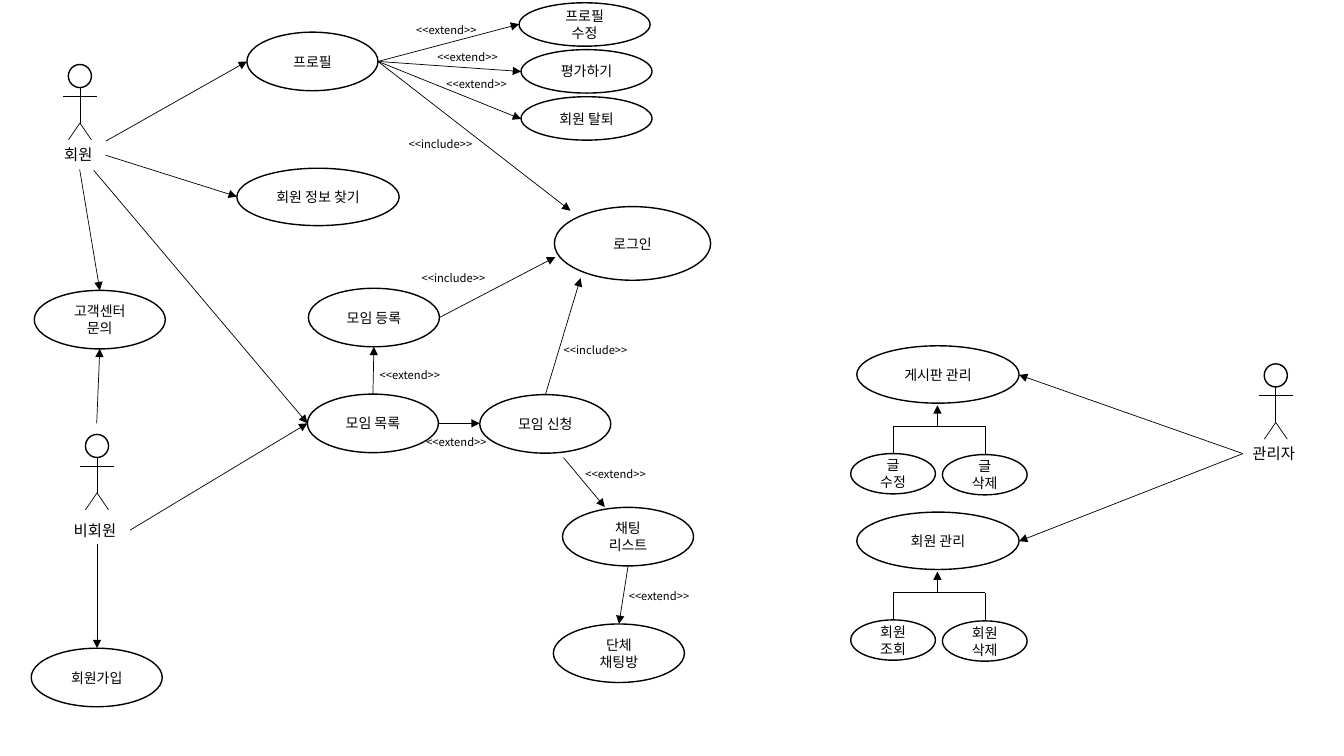
from dataclasses import dataclass

from lxml.etree import SubElement
from pptx import Presentation
from pptx.dml.color import RGBColor
from pptx.enum.shapes import MSO_CONNECTOR, MSO_SHAPE
from pptx.enum.text import MSO_ANCHOR, PP_ALIGN
from pptx.oxml.ns import qn
from pptx.util import Pt


@dataclass(frozen=True)
class Theme:
    """Colours, type and line weights of the diagram."""
    ink: RGBColor = RGBColor(0, 0, 0)
    paper: RGBColor = RGBColor(255, 255, 255)
    font: str = "Noto Sans CJK KR"
    actor_size: float = 11
    case_size: float = 10
    label_size: float = 8
    outline: float = 1
    stroke: float = 0.5


class UseCaseDiagram:
    """Draws use case elements on the current slide."""

    def __init__(self, slide, theme):
        """Keep the slide and its style."""
        self.slide = slide
        self.theme = theme

    def add_text(self, frame, text, size, align):
        """Fill a text frame, one paragraph per line."""
        for index, line in enumerate(text.split("\n")):
            paragraph = frame.paragraphs[0] if index == 0 else frame.add_paragraph()
            paragraph.alignment = align
            run = paragraph.add_run()
            run.text = line
            run.font.size = Pt(size)
            run.font.name = self.theme.font
            run.font.color.rgb = self.theme.ink
            east_asian = SubElement(run.font._element, qn("a:ea"))
            east_asian.set("typeface", self.theme.font)

    def ellipse(self, left, top, width, height, shapes=None):
        """Add an outlined ellipse."""
        shapes = shapes or self.slide.shapes
        shape = shapes.add_shape(
            MSO_SHAPE.OVAL, Pt(left), Pt(top), Pt(width), Pt(height))
        shape.shadow.inherit = False
        shape.fill.solid()
        shape.fill.fore_color.rgb = self.theme.paper
        shape.line.color.rgb = self.theme.ink
        shape.line.width = Pt(self.theme.outline)
        return shape

    def use_case(self, text, left, top, size):
        """Add a named use case."""
        frame = self.ellipse(left, top, *size).text_frame
        frame.word_wrap = True
        frame.vertical_anchor = MSO_ANCHOR.MIDDLE
        self.add_text(frame, text, self.theme.case_size, PP_ALIGN.CENTER)

    def line(self, start, end, arrow=False, shapes=None):
        """Add a straight line, with an arrowhead at its end if asked."""
        shapes = shapes or self.slide.shapes
        connector = shapes.add_connector(
            MSO_CONNECTOR.STRAIGHT, *(Pt(value) for value in (*start, *end)))
        connector.line.color.rgb = self.theme.ink
        connector.line.width = Pt(self.theme.stroke)
        properties = connector._element.spPr
        if arrow:
            SubElement(properties.find(qn("a:ln")), qn("a:tailEnd")).set("type", "triangle")
        SubElement(properties, qn("a:effectLst"))

    def label(self, text, left, top, width, height, size, shapes=None):
        """Add a one-line text box."""
        shapes = shapes or self.slide.shapes
        box = shapes.add_textbox(Pt(left), Pt(top), Pt(width), Pt(height))
        box.text_frame.word_wrap = False
        self.add_text(box.text_frame, text, size, PP_ALIGN.LEFT)

    def actor(self, name, center, top, name_drop, name_width):
        """Add a grouped stick figure with its name below."""
        shapes = self.slide.shapes.add_group_shape().shapes
        head, neck, hip, foot = 16.5, top + 16.5, top + 41.8, top + 53.8
        self.ellipse(center - head / 2, top, head, head, shapes)
        self.line((center, neck), (center, hip), shapes=shapes)
        self.line((center - 12, top + 22.7), (center + 12, top + 22.7), shapes=shapes)
        for reach in (-8.2, 8.2):
            self.line((center, hip), (center + reach, foot), shapes=shapes)
        self.label(name, center - name_width / 2, top + name_drop, name_width, 20.6,
                   self.theme.actor_size, shapes)

    def management(self, name, top, children):
        """Add a parent use case with two bracketed children."""
        bar, left, middle, right = top + 57.6, 637.9, 669.6, 703.6
        self.line((middle, bar), (middle, top + 42.5), arrow=True)
        self.line((left, bar), (right, bar))
        for stem in (left, right):
            self.line((stem, bar), (stem, top + 79.5))
        self.use_case(name, 612, top, WIDE)
        for index, child in enumerate(children):
            self.use_case(child, 607.7 + index * 65.5, top + 77 + index * 0.7, SMALL)


STANDARD, WIDE, SMALL = (93.6, 41.8), (115.9, 41), (60.5, 28.8)
OPTION, LOGIN = (93.6, 31), (111.6, 52.6)
PROFILE_EXIT, LIST_ENTRY, ADMIN_EXIT = (270, 43.9), (219.6, 302.4), (887.8, 324)

ACTORS = [
    ("회원", 57.1, 46.1, 54, 36.7),
    ("비회원", 69.3, 310.3, 58.3, 47.5),
    ("관리자", 911.3, 259.9, 54, 47.5),
]
ARROWS = [
    ((75.6, 110.9), (169.2, 140.4)),
    ((56.9, 121), (71.3, 207.4)),
    ((75.6, 100.8), (176.4, 43.9)),
    ((67, 121.7), LIST_ENTRY),
    ((92.9, 378.7), LIST_ENTRY),
    ((69.3, 388.8), (69.3, 463)),
    ((69.1, 302.4), (71.3, 249.1)),
    (PROFILE_EXIT, (370.8, 17.3)),
    (PROFILE_EXIT, (372.2, 51.1)),
    (PROFILE_EXIT, (372.2, 85)),
    (PROFILE_EXIT, (407.5, 150.5)),
    ((313.9, 226.8), (396.7, 183.6)),
    ((266.4, 281.5), (267.1, 247.7)),
    ((313.2, 302.4), (342.7, 302.4)),
    ((389.5, 282.2), (414.7, 198.7)),
    ((402.5, 326.9), (432, 362.2)),
    ((448.6, 404.6), (442.1, 445.7)),
    (ADMIN_EXIT, (727.9, 267.8)),
    (ADMIN_EXIT, (727.9, 386.6)),
]
USE_CASES = [
    ("고객센터 문의", 24.5, 207.4, STANDARD),
    ("회원 정보 찾기", 169.2, 120.2, WIDE),
    ("회원가입", 22.3, 463, STANDARD),
    ("프로필", 176.4, 23, STANDARD),
    ("프로필\n수정", 370.8, 2, OPTION),
    ("평가하기", 372.2, 35.5, OPTION),
    ("회원 탈퇴", 372.2, 69.1, OPTION),
    ("로그인", 396, 147.6, LOGIN),
    ("모임 등록", 220.3, 205.9, STANDARD),
    ("모임 목록", 219.6, 281.5, STANDARD),
    ("모임 신청", 342.7, 281.9, STANDARD),
    ("채팅\n리스트", 401.8, 362.4, STANDARD),
    ("단체\n채팅방", 395.3, 445.7, STANDARD),
]
MANAGEMENT = [
    ("게시판 관리", 247, ("글\n수정", "글\n삭제")),
    ("회원 관리", 365.8, ("회원 조회", "회원 삭제")),
]
RELATIONS = {
    "<<include>>": [(284.8, 94.3), (294.1, 190.1), (395.6, 241.9)],
    "<<extend>>": [(290.2, 13), (305.3, 32.4), (311.8, 51.8), (297.4, 307.4),
                   (264.2, 259.9), (411.1, 330.5), (442.1, 417.6)],
}

presentation = Presentation()
presentation.slide_width, presentation.slide_height = Pt(960), Pt(540)
theme = Theme()
diagram = UseCaseDiagram(
    presentation.slides.add_slide(presentation.slide_layouts[6]), theme)

for actor in ACTORS:
    diagram.actor(*actor)
for start, end in ARROWS:
    diagram.line(start, end, arrow=True)
for use_case in USE_CASES:
    diagram.use_case(*use_case)
for branch in MANAGEMENT:
    diagram.management(*branch)
for relation, places in RELATIONS.items():
    for left, top in places:
        diagram.label(relation, left, top, 61.9, 17.3, theme.label_size)

presentation.save("out.pptx")
